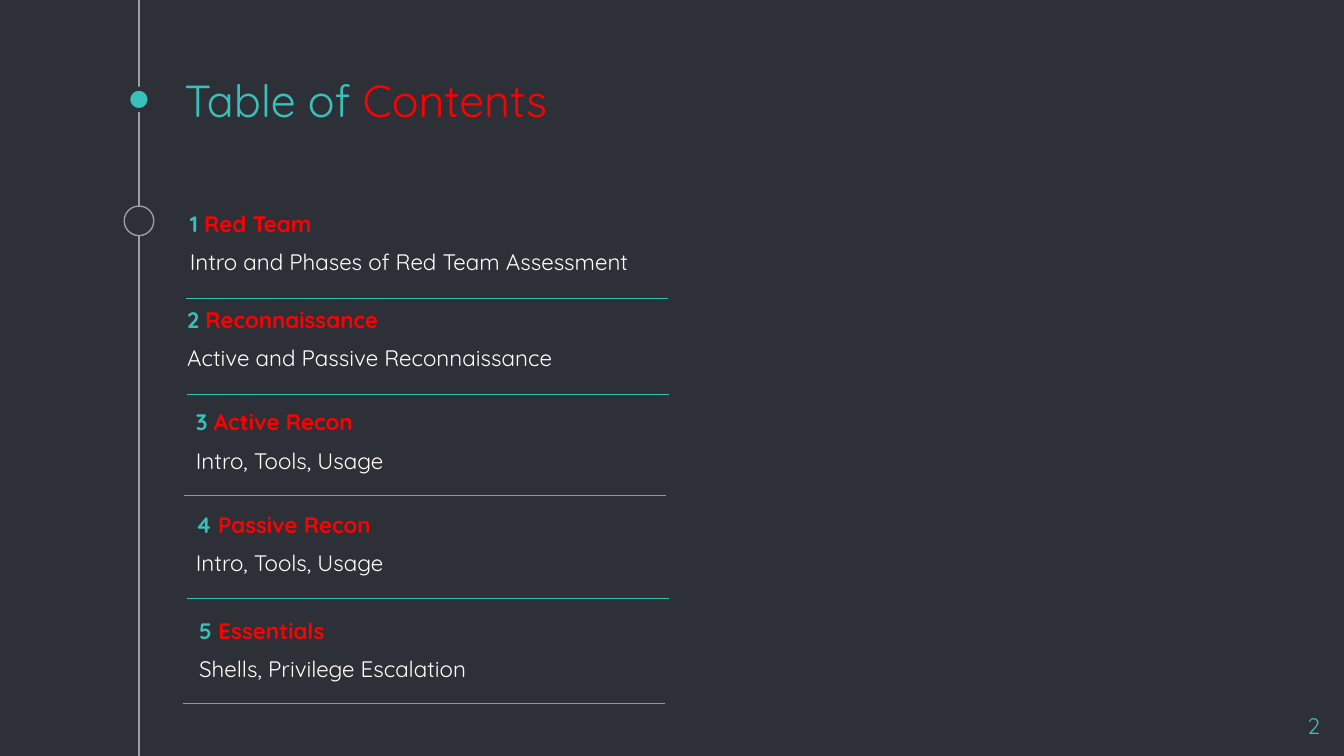
"""Build a dark table-of-contents slide on a grid of 0.1 inch cells."""
from pptx import Presentation, util as u
from pptx.dml.color import RGBColor
from pptx.enum import shapes, text
from pptx.oxml.ns import qn
from lxml import etree

CELL = u.Inches(0.1)
COLS, ROWS = 100, 56.25
FONT = "Quicksand"
DARK = RGBColor(0x2E, 0x30, 0x37)
GRAY = RGBColor(0x99, 0x9F, 0xA9)
TEAL = RGBColor(0x39, 0xC0, 0xBA)
RULE = RGBColor(0x34, 0xBF, 0xB9)
RED = RGBColor(0xFF, 0x00, 0x00)
WHITE = RGBColor(0xFF, 0xFF, 0xFF)
RULE_COLS = 35.9
TIMELINE_COL = 10.34

ENTRIES = [
    ((13.14, 14.64), (13.83, 22.2), "Red Team", "Intro and Phases of Red Team Assessment"),
    ((12.94, 21.8), (13.9, 29.35), "Reconnaissance", "Active and Passive Reconnaissance"),
    ((13.6, 29.4), (13.68, 36.88), "Active Recon", "Intro, Tools, Usage"),
    ((13.6, 37.04), (13.9, 44.53), "Passive Recon", "Intro, Tools, Usage"),
    ((13.84, 44.9), (13.6, 52.36), "Essentials", "Shells, Privilege Escalation"),
]


def grid(*cells):
    """Turn counts of grid cells into lengths."""
    return [u.Emu(round(c * CELL)) for c in cells]


def add_line(s, start, end, color):
    """Draw a thin straight line between two grid points."""
    sp = s.shapes.add_connector(shapes.MSO_CONNECTOR.STRAIGHT, *grid(*start, *end))
    sp.line.color.rgb = color
    sp.line.width = u.Pt(0.75)
    etree.SubElement(sp._element.spPr, qn("a:effectLst"))


def add_dot(s, row, size, fill, line, width):
    """Draw a circle centred on the timeline."""
    box = grid(TIMELINE_COL - size / 2, row - size / 2, size, size)
    sp = s.shapes.add_shape(shapes.MSO_SHAPE.OVAL, *box)
    sp.shadow.inherit = False
    sp.fill.solid()
    sp.fill.fore_color.rgb = fill
    sp.line.color.rgb = line
    sp.line.width = u.Pt(width)


def add_text(s, box, paragraphs, size=12, align=text.PP_ALIGN.LEFT,
             anchor=text.MSO_ANCHOR.TOP):
    """Add a text box whose paragraphs are lists of (text, colour, bold)."""
    tf = s.shapes.add_textbox(*grid(*box)).text_frame
    tf.word_wrap = True
    tf.vertical_anchor = anchor
    tf.margin_left = tf.margin_right = tf.margin_top = tf.margin_bottom = CELL
    for i, runs in enumerate(paragraphs):
        p = tf.add_paragraph() if i else tf.paragraphs[0]
        p.alignment = align
        if i:
            p.space_before = u.Pt(6)
        for words, color, bold in runs:
            r = p.add_run()
            r.text = words
            r.font.name = FONT
            r.font.size = u.Pt(size)
            r.font.bold = bold
            r.font.color.rgb = color


def add_entry(s, number, corner, rule_start, heading, summary):
    """Add one numbered entry and the rule below it."""
    add_text(s, (*corner, 37.7, 7.8), [
        [(f"{number} ", TEAL, True), (heading, RED, True)],
        [(summary, WHITE, False)],
    ])
    col, row = rule_start
    add_line(s, rule_start, (col + RULE_COLS, row), RULE)


def main():
    """Build and save the slide."""
    prs = Presentation()
    prs.slide_width, prs.slide_height = grid(COLS, ROWS)
    s = prs.slides.add_slide(prs.slide_layouts[6])
    s.background.fill.solid()
    s.background.fill.fore_color.rgb = DARK

    add_line(s, (TIMELINE_COL, 0), (TIMELINE_COL, ROWS), GRAY)
    add_dot(s, 7.4, 1.6, TEAL, DARK, 2.25)
    add_dot(s, 16.43, 2.2, DARK, GRAY, 0.75)
    add_text(s, (12.74, 6.6, 75, 3.8),
             [[("Table of ", TEAL, False), ("Contents", RED, False)]],
             size=24, anchor=text.MSO_ANCHOR.BOTTOM)
    for number, entry in enumerate(ENTRIES, 1):
        add_entry(s, number, *entry)
    add_text(s, (93.2, 52, 6, 3.4), [[("2", TEAL, False)]],
             align=text.PP_ALIGN.RIGHT)
    prs.save("out.pptx")


if __name__ == "__main__":
    main()
